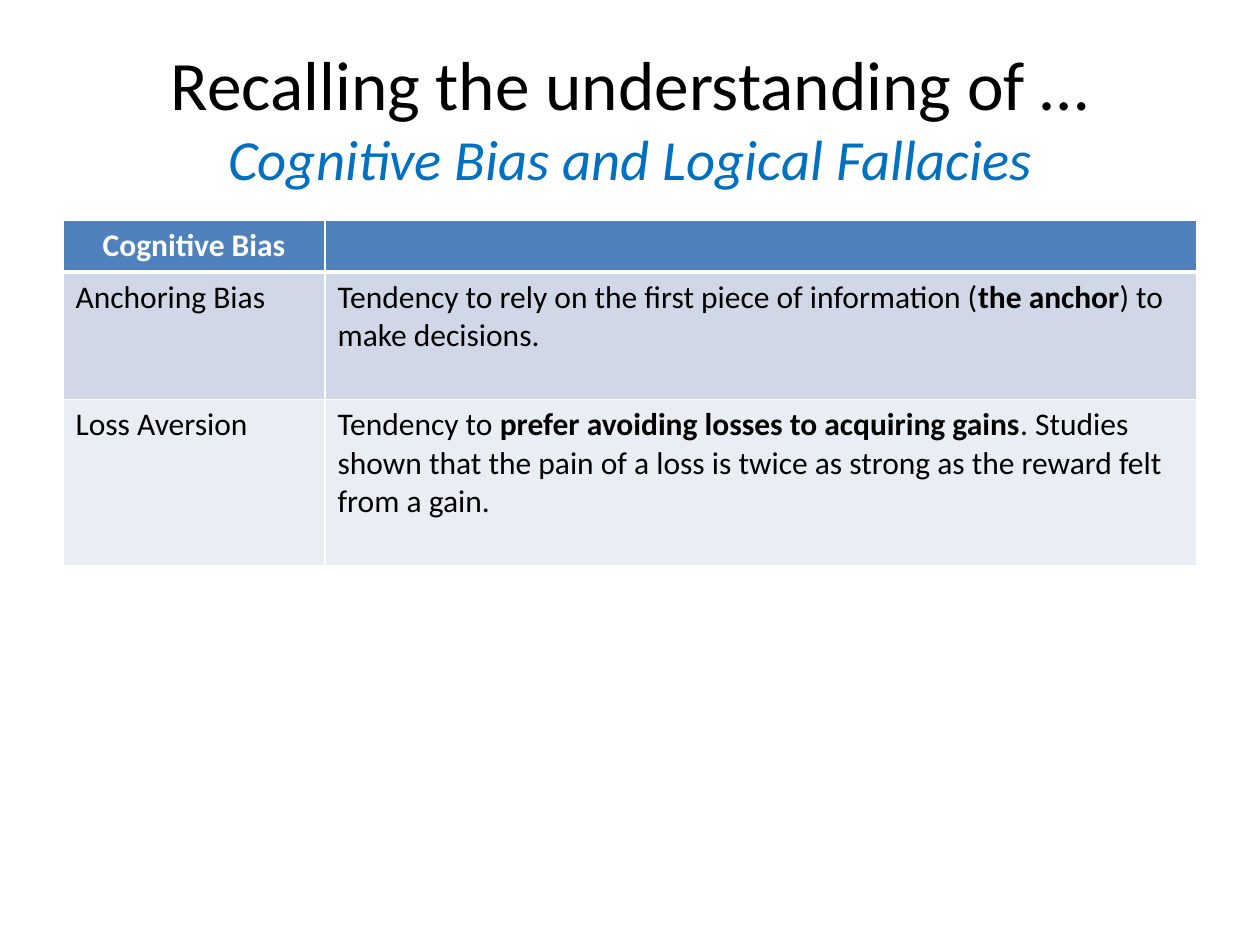
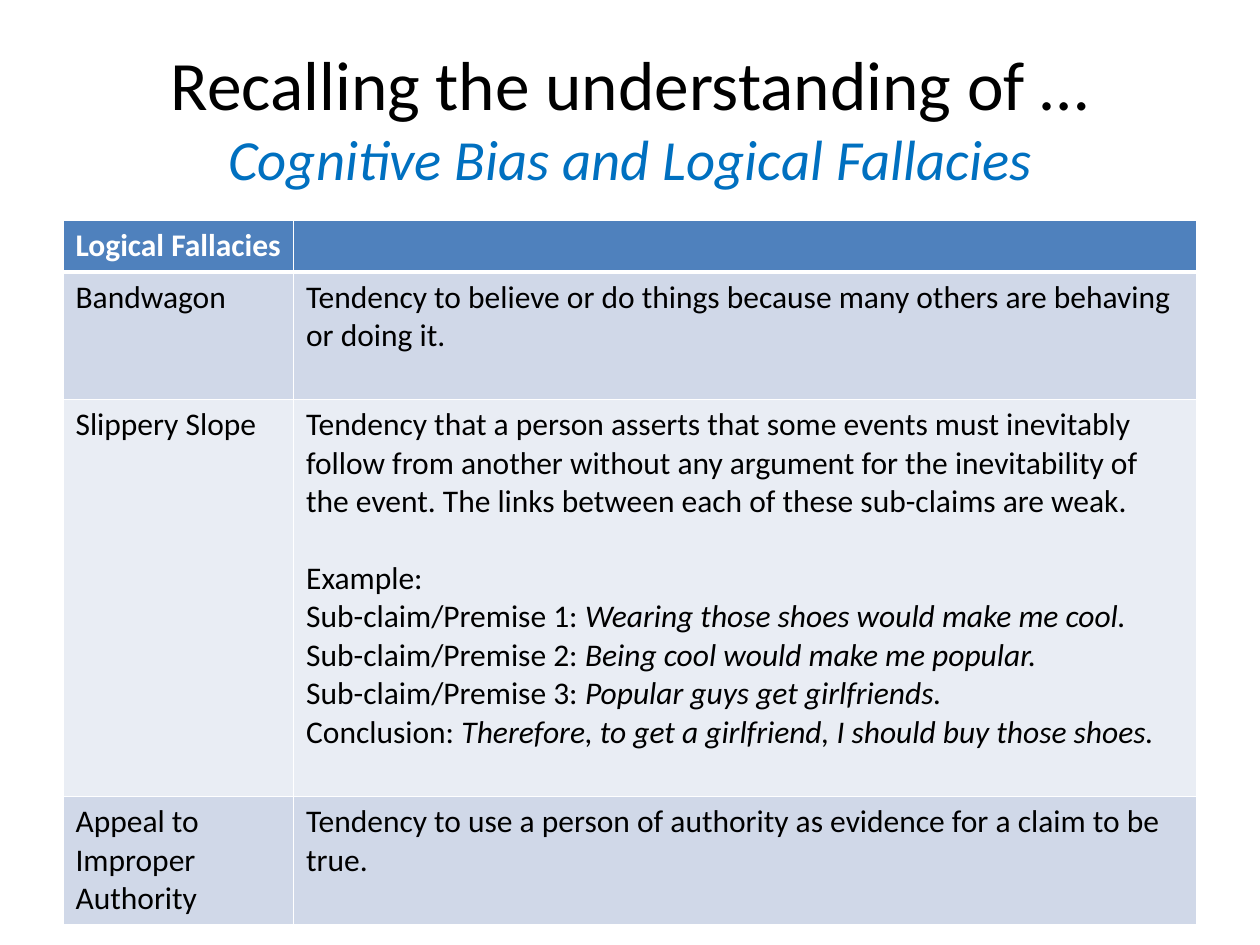
import dataclasses

import lxml.etree
import pptx
import pptx.dml.color
import pptx.enum.text
import pptx.oxml.ns
import pptx.util

Inches = pptx.util.Inches
Pt = pptx.util.Pt
Align = pptx.enum.text.PP_ALIGN


@dataclasses.dataclass(frozen=True)
class Theme:
    font: str = "Calibri"
    ink: str = "000000"
    white: str = "FFFFFF"
    accent: str = "0070C0"
    header: str = "4F81BD"
    bands: tuple = ("D0D8E8", "E9EDF4")
    title_size: float = 39.6
    subtitle_size: float = 32.4
    table_size: float = 18
    paragraph_gap: float = 22
    thin: float = 1
    thick: float = 3


THEME = Theme()
TITLE_BOX = (0.5, 0.3, 9, 1.25)
TABLE_BOX = (0.5, 1.75, 9)
HEADER_HEIGHT = 0.41

BIASES = [
    (1.01, "Anchoring Bias", [[
        ("Tendency to rely on the first piece of information (", ""),
        ("the anchor", "bold"),
        (") to make decisions.", ""),
    ]]),
    (1.32, "Loss Aversion", [[
        ("Tendency to ", ""),
        ("prefer avoiding losses to acquiring gains", "bold"),
        (". Studies shown that the pain of a loss is twice as strong as the reward felt from a gain.", ""),
    ]]),
]

SLOPE_STEPS = [
    ("Sub-claim/Premise 1: ", "Wearing those shoes would make me cool."),
    ("Sub-claim/Premise 2: ", "Being cool would make me popular."),
    ("Sub-claim/Premise 3: ", "Popular guys get girlfriends."),
    ("Conclusion: ", "Therefore, to get a girlfriend, I should buy those shoes."),
]

FALLACIES = [
    (1.01, "Bandwagon", [[
        ("Tendency to believe or do things because many others are behaving or doing it.", ""),
    ]]),
    (3.15, "Slippery Slope", [
        [("Tendency that a person asserts that some events must inevitably follow from another "
          "without any argument for the inevitability of the event. "
          "The links between each of these sub-claims are weak.", "")],
        [("Example:", "gap")],
        *[[(label, ""), (claim, "italic")] for label, claim in SLOPE_STEPS],
    ]),
    (1.01, "Appeal to Improper Authority", [[
        ("Tendency to use a person of authority as evidence for a claim to be true.", ""),
    ]]),
]


def rgb(code):
    return pptx.dml.color.RGBColor.from_string(code)


def style_font(font, size, color):
    font.name = THEME.font
    font.size = Pt(size)
    font.color.rgb = rgb(color)


def add_title(page, box):
    title = page.shapes.title
    title.left, title.top, title.width, title.height = map(Inches, box)
    frame = title.text_frame
    frame.auto_size = pptx.enum.text.MSO_AUTO_SIZE.NONE
    frame.vertical_anchor = pptx.enum.text.MSO_ANCHOR.MIDDLE
    para = frame.paragraphs[0]
    para.alignment = Align.CENTER
    span = para.add_run()
    span.text = "Recalling the understanding of …"
    style_font(span.font, THEME.title_size, THEME.ink)
    para.add_line_break()
    span = para.add_run()
    span.text = "Cognitive Bias and Logical Fallacies"
    style_font(span.font, THEME.subtitle_size, THEME.accent)
    span.font.italic = True


def set_borders(cell, top, bottom):
    properties = cell._tc.get_or_add_tcPr()
    widths = {"L": THEME.thin, "R": THEME.thin, "T": top, "B": bottom}
    for position, (side, width) in enumerate(widths.items()):
        line = lxml.etree.Element(pptx.oxml.ns.qn(f"a:ln{side}"), w=str(Pt(width)))
        fill = lxml.etree.SubElement(line, pptx.oxml.ns.qn("a:solidFill"))
        lxml.etree.SubElement(fill, pptx.oxml.ns.qn("a:srgbClr"), val=THEME.white)
        properties.insert(position, line)


def fill_cell(cell, paragraphs, row):
    is_header = row == 0
    cell.fill.solid()
    cell.fill.fore_color.rgb = rgb(THEME.header if is_header else THEME.bands[(row - 1) % 2])
    set_borders(cell,
                top=THEME.thick if row == 1 else THEME.thin,
                bottom=THEME.thick if is_header else THEME.thin)
    frame = cell.text_frame
    for index, spans in enumerate(paragraphs):
        para = frame.add_paragraph() if index else frame.paragraphs[0]
        para.alignment = Align.CENTER if is_header else Align.LEFT
        style_font(para.font, THEME.table_size, THEME.white if is_header else THEME.ink)
        for text, style in spans:
            span = para.add_run()
            span.text = text
            if style == "bold":
                span.font.bold = True
            elif style == "italic":
                span.font.italic = True
            elif style == "gap":
                para.space_before = Pt(THEME.paragraph_gap)


def add_definition_table(page, box, heading, label_width, entries):
    left, top, width = box
    heights = [HEADER_HEIGHT] + [height for height, _, _ in entries]
    table = page.shapes.add_table(
        len(heights), 2, Inches(left), Inches(top), Inches(width), Inches(sum(heights))
    ).table
    table.columns[0].width = Inches(label_width)
    table.columns[1].width = Inches(width - label_width)
    contents = [(heading, [[]])] + [(label, meaning) for _, label, meaning in entries]
    for row, (label, meaning) in enumerate(contents):
        table.rows[row].height = Inches(heights[row])
        label_style = "bold" if row == 0 else ""
        fill_cell(table.cell(row, 0), [[(label, label_style)]], row)
        fill_cell(table.cell(row, 1), meaning, row)


def add_definition_page(deck, heading, label_width, entries):
    page = deck.slides.add_slide(deck.slide_layouts.get_by_name("Title Only"))
    add_title(page, TITLE_BOX)
    add_definition_table(page, TABLE_BOX, heading, label_width, entries)


def main():
    deck = pptx.Presentation()
    deck.slide_width = Inches(10)
    deck.slide_height = Inches(7.5)
    add_definition_page(deck, "Cognitive Bias", 2.08, BIASES)
    add_definition_page(deck, "Logical Fallacies", 1.83, FALLACIES)
    deck.save("out.pptx")


if __name__ == "__main__":
    main()
